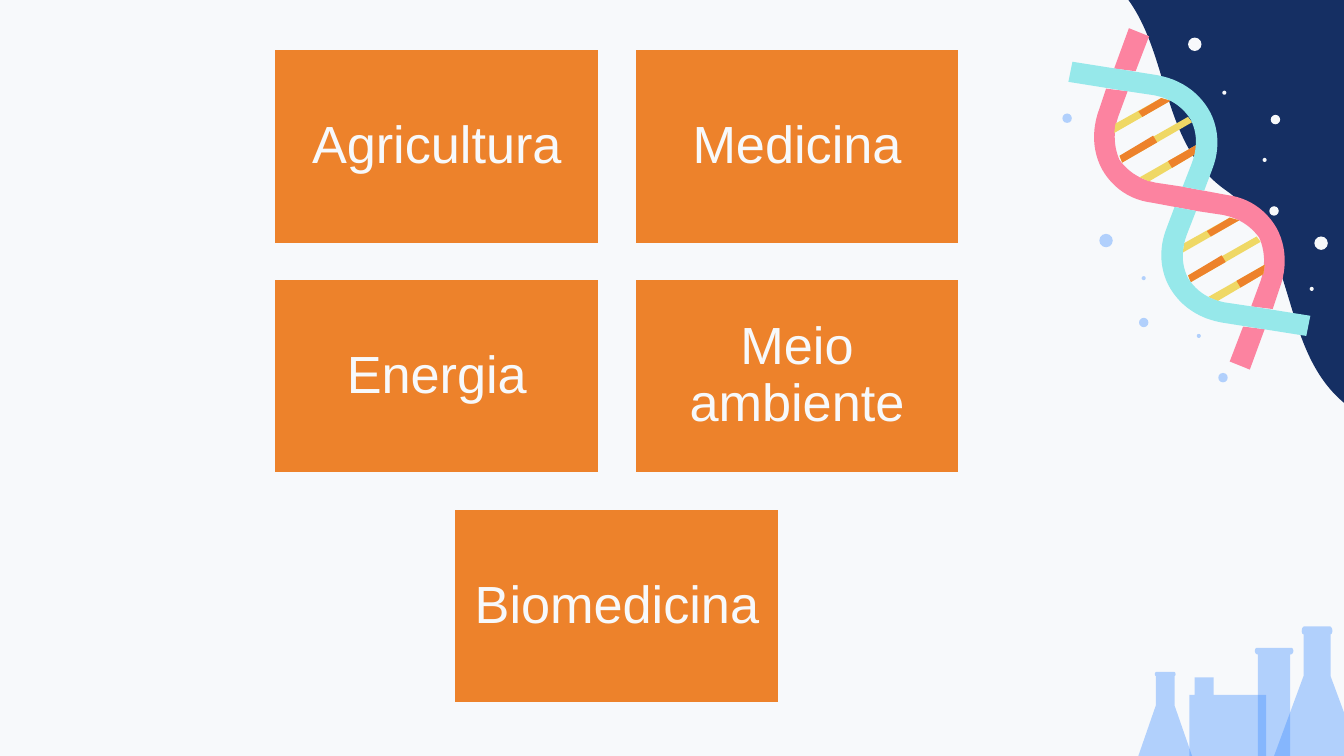
from lxml import etree
from pptx import Presentation, util as u
from pptx.dml.color import RGBColor
from pptx.enum import shapes, text
from pptx.oxml.ns import qn

NAVY, PAPER, ORANGE, BLUE = "152F63", "F7F9FB", "ED822B", "3B8BFF"
PINK, TEAL, YELLOW = "FC83A0", "96E8EA", "EFD865"
COLUMNS, ROWS = 10, 5.625
HELIX_CENTRE = (8.85, 1.48)
HELIX_PITCH = (0.51, 0.89)
GLASS = 37  # opacity in percent


def colour(hex_code):
    return RGBColor.from_string(hex_code)


def half_turn(outline):
    """Turn an outline by 180 degrees about the middle of the helix."""
    return [tuple(2 * HELIX_CENTRE[i % 2] - value for i, value in enumerate(step))
            for step in outline]


def shift(outline, offset):
    return [tuple(value + offset[i % 2] for i, value in enumerate(step))
            for step in outline]


def flatten(outline, pieces=12):
    """Turn pairs (corners) and sextets (Bezier curves) into plain points."""
    points = []
    for step in outline:
        if len(step) == 2:
            points.append(step)
            continue
        x0, y0 = points[-1]
        x1, y1, x2, y2, x3, y3 = step
        for n in range(1, pieces + 1):
            t = n / pieces
            a, b, c, d = (1 - t) ** 3, 3 * t * (1 - t) ** 2, 3 * t * t * (1 - t), t ** 3
            points.append((a * x0 + b * x1 + c * x2 + d * x3,
                           a * y0 + b * y1 + c * y2 + d * y3))
    return points


class Painter:
    """Style and current slide; lengths are columns and rows of the grid."""

    font, size = "Arial", 28
    inset = 0.12

    def __init__(self, deck):
        self.column = deck.slide_width / COLUMNS
        self.row = deck.slide_height / ROWS
        self.page = deck.slides.add_slide(deck.slide_layouts[6])
        self.page.background.fill.solid()
        self.page.background.fill.fore_color.rgb = colour(PAPER)

    def grid(self, x, y):
        return u.Emu(round(x * self.column)), u.Emu(round(y * self.row))

    def paint(self, shape, fill, opacity=100):
        shape.shadow.inherit = False
        shape.fill.solid()
        shape.fill.fore_color.rgb = colour(fill)
        shape.line.fill.background()
        if opacity < 100:
            tint = shape.fill._xPr.find(".//" + qn("a:srgbClr"))
            etree.SubElement(tint, qn("a:alpha")).set("val", str(opacity * 1000))
        return shape

    def preset(self, kind, x, y, width, height, fill, opacity=100):
        shape = self.page.shapes.add_shape(
            kind, *self.grid(x, y), *self.grid(width, height))
        return self.paint(shape, fill, opacity)

    def outline(self, steps, fill, opacity=100):
        start, *points = [self.grid(*point) for point in flatten(steps)]
        builder = self.page.shapes.build_freeform(*start)
        builder.add_line_segments(points, close=True)
        return self.paint(builder.convert_to_shape(), fill, opacity)

    def wave(self, x, y, width, height, angle, depth):
        shape = self.preset(shapes.MSO_SHAPE.DOUBLE_WAVE, x, y, width, height, NAVY)
        shape.adjustments[0] = depth
        shape.rotation = angle

    def dot(self, x, y, width, fill, opacity=100):
        self.preset(shapes.MSO_SHAPE.OVAL, x - width / 2, y - width / 2,
                    width, width, fill, opacity)

    def glassware(self, middle, top, lip, lip_depth, neck, shoulder, base):
        """Draw a vessel; lip, neck and base are half widths."""
        rim = top + lip_depth
        right = [(lip - lip_depth / 2, top),
                 (lip, top, lip, rim, neck, rim),
                 (neck, shoulder), (base, ROWS)]
        left = [(-base, ROWS), (-neck, shoulder), (-neck, rim),
                (-lip, rim, -lip, top, lip_depth / 2 - lip, top)]
        self.outline(shift(right + left, (middle, 0)), BLUE, GLASS)

    def card(self, x, y, width, height, label):
        box = self.preset(shapes.MSO_SHAPE.RECTANGLE, x, y, width, height, ORANGE)
        box.line.color.rgb = colour(PAPER)
        box.line.width = u.Pt(2)
        frame = box.text_frame
        frame.word_wrap = True
        frame.vertical_anchor = text.MSO_ANCHOR.MIDDLE
        frame.margin_left = frame.margin_right = self.grid(self.inset, 0)[0]
        frame.margin_top = frame.margin_bottom = self.grid(0, self.inset)[1]
        para = frame.paragraphs[0]
        para.text = label
        para.alignment = text.PP_ALIGN.CENTER
        para.line_spacing = 0.9
        para.font.name, para.font.size = self.font, u.Pt(self.size)
        para.font.color.rgb = colour(PAPER)


def draw_glassware(painter):
    painter.outline([(8.89, 5.04), (8.89, 5.17), (8.85, 5.17), (8.85, ROWS),
                     (9.42, ROWS), (9.42, 5.17), (9.03, 5.17), (9.03, 5.04)],
                    BLUE, GLASS)
    painter.glassware(8.67, 5, 0.08, 0.03, 0.07, 5.25, 0.2)
    painter.glassware(9.8, 4.66, 0.12, 0.06, 0.1, 5.03, 0.32)
    painter.glassware(9.48, 4.82, 0.15, 0.05, 0.12, ROWS, 0.12)


def draw_helix(painter):
    pink_end = [(8.4, 0.21), (8.29, 0.51), (8.45, 0.53), (8.55, 0.27)]
    pink_half = [(8.23, 0.66), (8.18, 0.81),
                 (8.12, 0.97, 8.13, 1.13, 8.2, 1.26),
                 (8.28, 1.4, 8.41, 1.49, 8.58, 1.51),
                 (8.9, 1.57), (9.1, 1.6),
                 (9.2, 1.62, 9.3, 1.67, 9.37, 1.77),
                 (9.41, 1.86, 9.42, 1.97, 9.38, 2.09), (9.31, 2.28)]
    teal = [(7.98, 0.46), (7.95, 0.61), (8.39, 0.68), (8.59, 0.71),
            (8.69, 0.73, 8.79, 0.78, 8.86, 0.89),
            (8.91, 0.99, 8.91, 1.1, 8.87, 1.21),
            (8.8, 1.39), (8.96, 1.42), (9.02, 1.26),
            (9.08, 1.11, 9.07, 0.94, 8.99, 0.81),
            (8.91, 0.68, 8.78, 0.59, 8.61, 0.56)]
    rungs = [
        (YELLOW, [(8.33, 1.16), (8.35, 1.21), (8.87, 0.91), (8.84, 0.87)]),
        (YELLOW, [(8.3, 0.92), (8.29, 0.99), (8.71, 0.75), (8.64, 0.73)]),
        (YELLOW, [(8.48, 1.32), (8.55, 1.35), (8.89, 1.15), (8.9, 1.08)]),
        (ORANGE, [(8.33, 1.16), (8.35, 1.21), (8.61, 1.06), (8.58, 1.01)]),
        (ORANGE, [(8.47, 0.83), (8.5, 0.87), (8.71, 0.75), (8.64, 0.73)]),
        (ORANGE, [(8.69, 1.2), (8.72, 1.25), (8.89, 1.15), (8.9, 1.08)]),
    ]
    for strand in (half_turn(pink_end), pink_half + half_turn(pink_half), pink_end):
        painter.outline(strand, PINK)
    for offset in ((0, 0), HELIX_PITCH):
        for fill, rung in rungs:
            painter.outline(shift(rung, offset), fill)
    for strand in (teal, half_turn(teal)):
        painter.outline(strand, TEAL)


def draw_dots(painter):
    for x, y, width in ((9.49, 0.89, 0.07), (9.48, 1.57, 0.07), (9.76, 2.15, 0.03),
                        (9.11, 0.69, 0.03), (9.41, 1.19, 0.03),
                        (9.83, 1.81, 0.1), (8.89, 0.33, 0.1)):
        painter.dot(x, y, width, PAPER)
    for x, y, width in ((8.51, 2.4, 0.07), (7.94, 0.88, 0.07), (9.1, 2.81, 0.07),
                        (8.51, 2.07, 0.03), (8.92, 2.5, 0.03), (8.23, 1.79, 0.1)):
        painter.dot(x, y, width, BLUE, GLASS)


def draw_cards(painter):
    width, height, gap, middle, top = 2.43, 1.46, 0.25, 4.59, 0.36
    rows = (("Agricultura", "Medicina"), ("Energia", "Meio ambiente"), ("Biomedicina",))
    for row, labels in enumerate(rows):
        left = middle - (len(labels) * (width + gap) - gap) / 2
        for column, label in enumerate(labels):
            painter.card(left + column * (width + gap), top + row * (height + gap),
                         width, height, label)


def main():
    deck = Presentation()
    deck.slide_width, deck.slide_height = u.Inches(COLUMNS), u.Inches(ROWS)
    painter = Painter(deck)
    painter.wave(8.17, -0.28, 3.76, 2.32, angle=60, depth=0.038)
    draw_glassware(painter)
    draw_helix(painter)
    draw_dots(painter)
    draw_cards(painter)
    deck.save("out.pptx")


if __name__ == "__main__":
    main()
